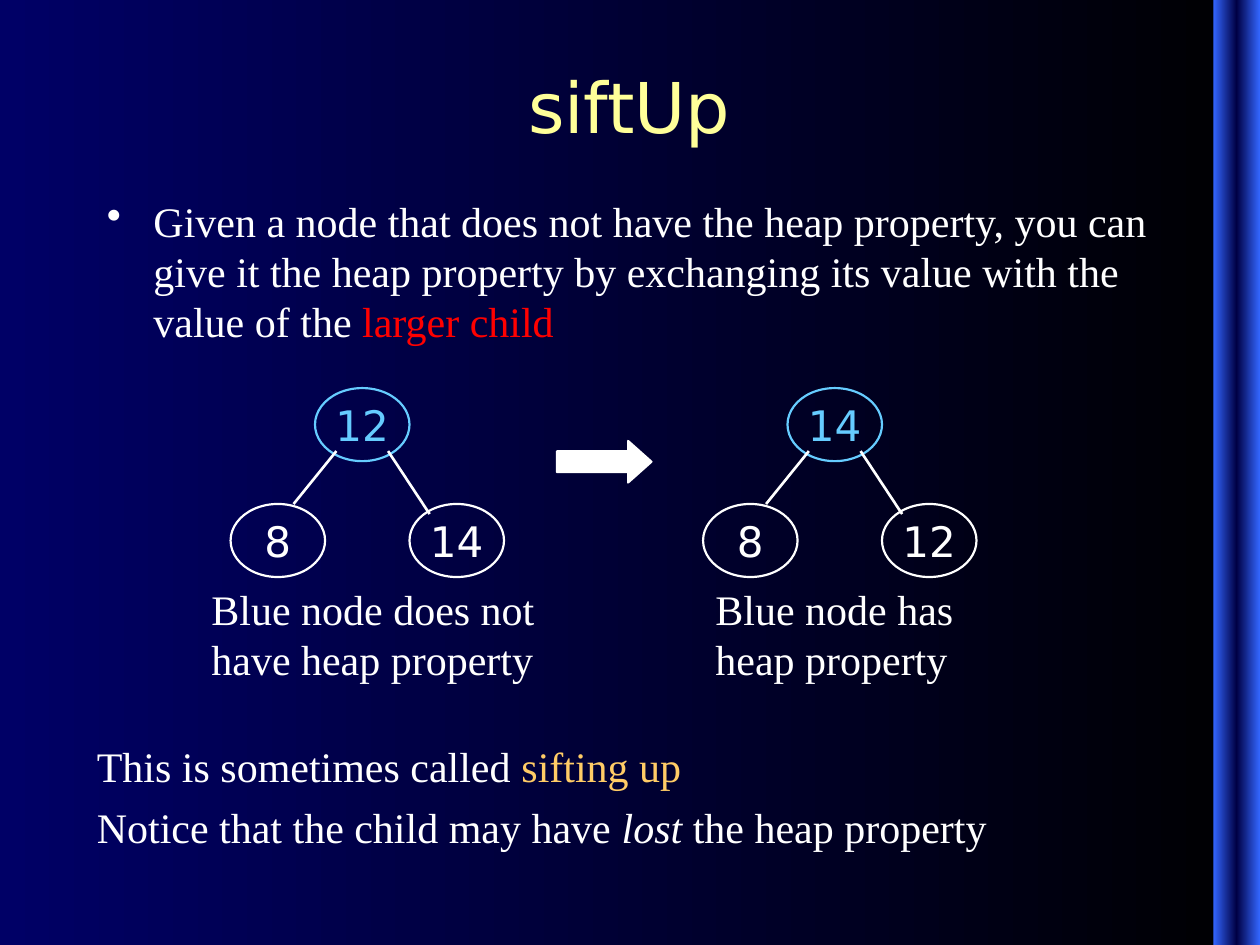
from copy import deepcopy
from dataclasses import dataclass

from lxml.etree import SubElement
from pptx import Presentation
from pptx.dml.color import RGBColor
from pptx.enum.shapes import MSO_CONNECTOR, MSO_SHAPE
from pptx.enum.text import MSO_ANCHOR, PP_ALIGN
from pptx.oxml.ns import qn
from pptx.util import Inches, Pt


@dataclass(frozen=True)
class Theme:
    white: str = "FFFFFF"
    title: str = "FFFF99"
    node_blue: str = "66CCFF"
    red: str = "FF0000"
    gold: str = "FFCC66"
    black: str = "000000"
    navy: str = "000066"
    bar_edge: str = "3366FF"
    bar_middle: str = "000044"
    sans: str = "DejaVu Sans"
    serif: str = "Times New Roman"
    title_size: int = 40
    text_size: int = 24
    outline: float = 1.25
    branch: float = 1.5


theme = Theme()


def write(para, text, **changes):
    """Add a run in the serif body style, with any font changes given."""
    look = {"name": theme.serif, "size": theme.text_size, "color": theme.white} | changes
    span = para.add_run()
    span.text = text
    span.font.color.rgb = RGBColor.from_string(look.pop("color"))
    look["size"] = Pt(look["size"])
    for name, value in look.items():
        setattr(span.font, name, value)


def add_text_box(shapes, left, top, width, height, space_before=0):
    """Add a wrapping text box and return its text frame."""
    frame = shapes.add_textbox(*map(Inches, (left, top, width, height))).text_frame
    frame.word_wrap = True
    frame.paragraphs[0].space_before = Pt(space_before)
    return frame


deck = Presentation()
deck.slide_width, deck.slide_height = Inches(10), Inches(7.5)
page = deck.slides.add_slide(deck.slide_layouts[6])

# Background and the bar at the right edge
bar = page.shapes.add_shape(MSO_SHAPE.RECTANGLE, Inches(9.63), 0, Inches(0.37), Inches(7.5))
bar.shadow.inherit = False
bar.line.fill.background()
for fill, colors in (
    (page.background.fill, (theme.black, theme.navy)),
    (bar.fill, (theme.bar_edge, theme.bar_middle)),
):
    fill.gradient()
    fill.gradient_angle = 180
    for stop, color, position in zip(fill.gradient_stops, colors, (0, 1)):
        stop.color.rgb = RGBColor.from_string(color)
        stop.position = position
bar.fill.gradient_stops[1].position = 0.5
stop_list = bar._element.spPr.find(qn("a:gradFill")).find(qn("a:gsLst"))
last_stop = deepcopy(stop_list[0])
last_stop.set("pos", "100000")
stop_list.append(last_stop)

# Title
title = add_text_box(page.shapes, 0.33, 0.42, 9.33, 0.83)
title.vertical_anchor = MSO_ANCHOR.MIDDLE
title.paragraphs[0].alignment = PP_ALIGN.CENTER
write(title.paragraphs[0], "siftUp", name=theme.sans, size=theme.title_size, color=theme.title)

# Bulleted rule
rule = add_text_box(page.shapes, 0.75, 1.5, 8.5, 1.67, space_before=6).paragraphs[0]
write(rule, "Given a node that does not have the heap property, you can give it "
            "the heap property by exchanging its value with the value of the ")
write(rule, "larger child", color=theme.red)
rule_format = rule._p.get_or_add_pPr()
rule_format.set("marL", str(Inches(0.37)))
rule_format.set("indent", str(Inches(-0.37)))
SubElement(rule_format, qn("a:buChar")).set("char", "•")

# Closing remarks
remarks = add_text_box(page.shapes, 0.67, 5.83, 8.58, 1.42, space_before=6)
naming = remarks.paragraphs[0]
write(naming, "This is sometimes called ")
write(naming, "sifting up", color=theme.gold)
warning = remarks.add_paragraph()
warning.space_before = Pt(6)
write(warning, "Notice that the child may have ")
write(warning, "lost", italic=True)
write(warning, " the heap property")

# Heaps after and before the exchange: x is the left edge of the left child
node_places = ((0.67, 3.08, theme.node_blue), (0, 4, theme.white), (1.42, 4, theme.white))
branches = ((0.84, 0.5, 4), (1.25, 1.58, 4.08))
for x, values, caption, caption_left, caption_width in (
    (5.58, ("14", "8", "12"), "Blue node has heap property", 5.58, 2.16),
    (1.83, ("12", "8", "14"), "Blue node does not have heap property", 1.58, 2.83),
):
    tree = page.shapes.add_group_shape().shapes
    for value, (offset, top, color) in zip(values, node_places):
        node = tree.add_shape(
            MSO_SHAPE.OVAL, Inches(x + offset), Inches(top), Inches(0.75), Inches(0.58))
        node.shadow.inherit = False
        node.fill.background()
        node.line.color.rgb = RGBColor.from_string(color)
        node.line.width = Pt(theme.outline)
        node.text_frame.word_wrap = False
        node.text_frame.vertical_anchor = MSO_ANCHOR.MIDDLE
        node.text_frame.paragraphs[0].alignment = PP_ALIGN.CENTER
        write(node.text_frame.paragraphs[0], value, name=theme.sans, color=color)
    for start, end, bottom in branches:
        branch = tree.add_connector(
            MSO_CONNECTOR.STRAIGHT, Inches(x + start), Inches(3.58), Inches(x + end), Inches(bottom))
        branch.line.color.rgb = RGBColor.from_string(theme.white)
        branch.line.width = Pt(theme.branch)
        SubElement(branch._element.spPr, qn("a:effectLst"))
    label = add_text_box(tree, caption_left, 4.58, caption_width, 0.9, space_before=15)
    write(label.paragraphs[0], caption)

# Arrow between the heaps
arrow = page.shapes.add_shape(
    MSO_SHAPE.RIGHT_ARROW, Inches(4.42), Inches(3.5), Inches(0.75), Inches(0.33))
arrow.shadow.inherit = False
arrow.adjustments[0], arrow.adjustments[1] = 0.5, 0.56
arrow.fill.solid()
arrow.fill.fore_color.rgb = RGBColor.from_string(theme.white)
arrow.line.color.rgb = RGBColor.from_string(theme.white)
arrow.line.width = Pt(theme.outline)

deck.save("out.pptx")
